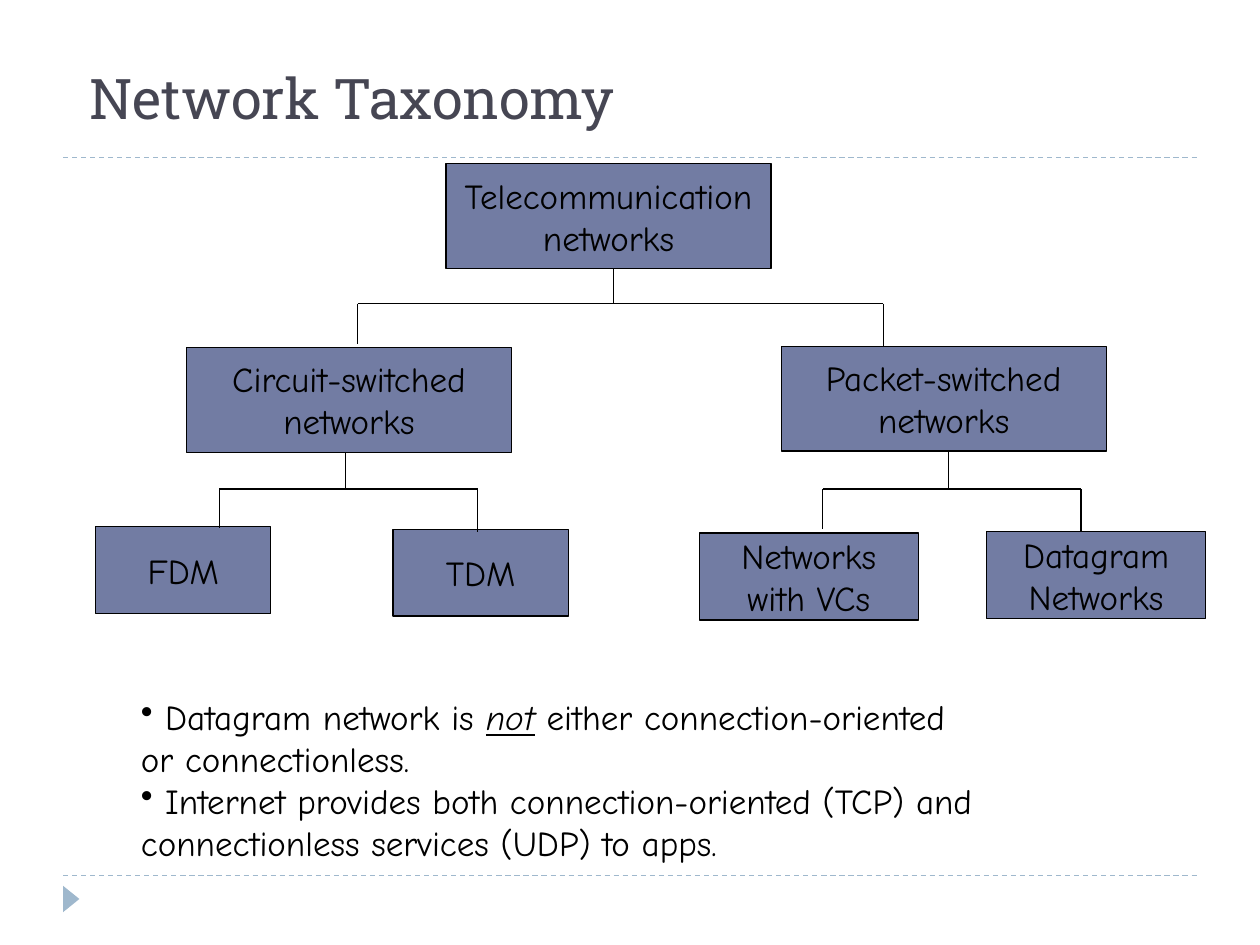
from dataclasses import dataclass

from lxml import etree
from pptx import Presentation
from pptx import util as u
from pptx.dml.color import RGBColor
from pptx.enum import dml, shapes, text
from pptx.oxml import ns


@dataclass(frozen=True)
class Theme:
    title: str = "464653"
    ink: str = "000000"
    box: str = "727CA3"
    accent: str = "9FB8CD"
    title_font: str = "Roboto Slab"
    body_font: str = "Comic Neue"
    title_size: int = 32
    body_size: int = 20
    line_width: float = 0.75


COLS, ROWS = 100, 75  # grid over the whole slide


def add_text(p, content, *, font, size, color, italic=False, underline=False):
    r = p.add_run()
    r.text = content
    r.font.name, r.font.size = font, u.Pt(size)
    r.font.italic, r.font.underline = italic, underline
    r.font.color.rgb = RGBColor.from_string(color)
    return r


class Deck:
    def __init__(self, theme):
        self.t = theme
        self.prs = Presentation()
        self.prs.slide_width, self.prs.slide_height = u.Inches(10), u.Inches(7.5)
        self.slide = self.prs.slides.add_slide(self.prs.slide_layouts[5])
        self.body = dict(font=theme.body_font, size=theme.body_size, color=theme.ink)

    def x(self, col):
        return round(self.prs.slide_width * col / COLS)

    def y(self, row):
        return round(self.prs.slide_height * row / ROWS)

    def area(self, col, row, cols, rows):
        return self.x(col), self.y(row), self.x(cols), self.y(rows)

    def title(self, content, *at):
        sp = self.slide.shapes.title
        sp.left, sp.top, sp.width, sp.height = self.area(*at)
        tf = sp.text_frame
        tf.vertical_anchor = text.MSO_ANCHOR.BOTTOM
        p = tf.paragraphs[0]
        p.alignment = text.PP_ALIGN.LEFT
        add_text(p, content, font=self.t.title_font, size=self.t.title_size,
                 color=self.t.title)

    def line(self, x1, y1, x2, y2, color=None, dash=None):
        c = self.slide.shapes.add_connector(
            shapes.MSO_CONNECTOR.STRAIGHT,
            self.x(x1), self.y(y1), self.x(x2), self.y(y2))
        c.line.color.rgb = RGBColor.from_string(color or self.t.ink)
        c.line.width = u.Pt(self.t.line_width)
        if dash:
            c.line.dash_style = dash
        etree.SubElement(c._element.spPr, ns.qn("a:effectLst"))

    def shape(self, kind, fill, *at):
        sp = self.slide.shapes.add_shape(kind, *self.area(*at))
        sp.shadow.inherit = False
        sp.fill.solid()
        sp.fill.fore_color.rgb = RGBColor.from_string(fill)
        return sp

    def marker(self, *at):
        sp = self.shape(shapes.MSO_SHAPE.ISOSCELES_TRIANGLE, self.t.accent, *at)
        sp.line.fill.background()
        sp.rotation = 90

    def box(self, lines, *at):
        sp = self.shape(shapes.MSO_SHAPE.RECTANGLE, self.t.box, *at)
        sp.line.color.rgb = RGBColor.from_string(self.t.ink)
        sp.line.width = u.Pt(self.t.line_width)
        tf = sp.text_frame
        tf.word_wrap = False
        tf.vertical_anchor = text.MSO_ANCHOR.MIDDLE
        for i, content in enumerate(lines):
            p = tf.add_paragraph() if i else tf.paragraphs[0]
            p.alignment = text.PP_ALIGN.CENTER
            add_text(p, content, **self.body)

    def fork(self, stem, top, bar, left, left_end, right, right_end):
        """Stem down to a bar, with a drop at each end of the bar."""
        self.line(stem, top, stem, bar)
        self.line(left, bar, right, bar)
        self.line(left, bar, left, left_end)
        self.line(right, bar, right, right_end)

    def remarks(self, paragraphs, *at):
        tf = self.slide.shapes.add_textbox(*self.area(*at)).text_frame
        tf.word_wrap = True
        for i, (bullet, runs) in enumerate(paragraphs):
            p = tf.add_paragraph() if i else tf.paragraphs[0]
            if bullet:
                etree.SubElement(p._p.get_or_add_pPr(), ns.qn("a:buChar"), char="•")
            for content, style in runs:
                add_text(p, content, **self.body, **style)


def main():
    theme = Theme()
    d = Deck(theme)

    # Frame: two dashed rules and the corner marker
    for row in (69.5, 12.5):
        d.line(5, row, 95, row, theme.accent, dml.MSO_LINE.DASH)
    d.marker(4.6, 70.7, 2.1, 1.3)
    d.title("Network Taxonomy", 6.1, 0, 85, 10.9)

    # Taxonomy boxes: wide branches, then leaves
    branch, leaf, wide_leaf = (25.8, 8.3), (13.9, 6.9), (17.4, 6.9)
    for lines, col, row, size in (
        (("Telecommunication", "networks"), 35.4, 13, branch),
        (("Circuit-switched", "networks"), 14.8, 27.6, branch),
        (("Packet-switched", "networks"), 62, 27.5, branch),
        (("FDM",), 7.6, 41.8, leaf),
        (("TDM",), 31.2, 42, leaf),
        (("Networks", "with VCs"), 55.5, 42.3, wide_leaf),
        (("Datagram", "Networks"), 78.3, 42.2, wide_leaf),
    ):
        d.box(lines, col, row, *size)

    # Tree lines
    d.fork(48.7, 21.3, 24.1, 28.4, 27.3, 70.1, 27.5)
    d.fork(27.4, 35.9, 38.8, 17.4, 41.9, 37.9, 42.2)
    d.fork(75.3, 35.9, 38.8, 65.3, 42, 85.8, 42.2)

    # Remarks
    d.remarks((
        (True, ((" Datagram network is ", {}),
                ("not", dict(italic=True, underline=True)),
                (" either connection-oriented", {}))),
        (False, (("or connectionless.", {}),)),
        (True, ((" Internet provides both connection-oriented (TCP) and", {}),)),
        (False, (("connectionless services (UDP) to apps.", {}),)),
    ), 10.2, 54.7, 74.8, 14.3)

    d.prs.save("out.pptx")


if __name__ == "__main__":
    main()
